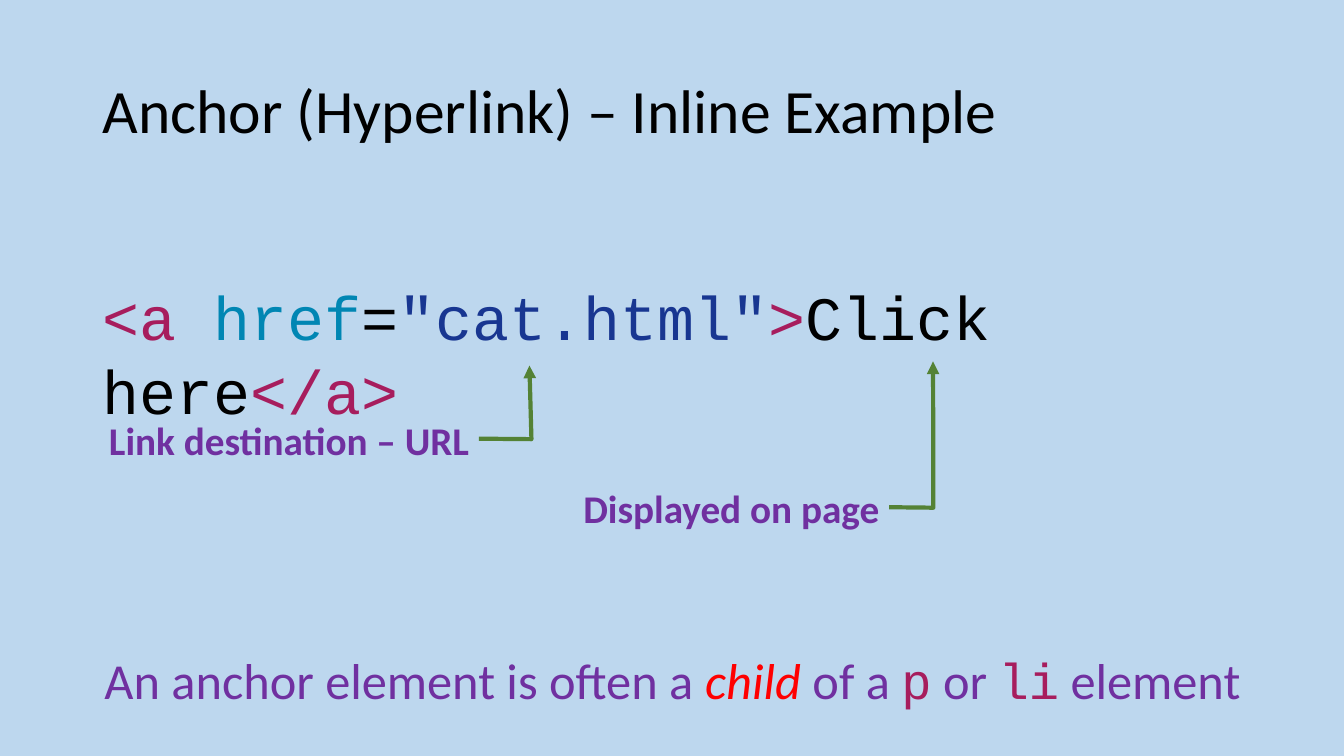
from lxml.etree import SubElement
from pptx import Presentation
from pptx.dml.color import RGBColor
from pptx.enum.shapes import MSO_SHAPE
from pptx.enum.text import MSO_ANCHOR, PP_ALIGN
from pptx.oxml.ns import qn
from pptx.util import Inches, Pt

SKY = RGBColor(0xBD, 0xD7, 0xEE)
BLACK = RGBColor(0x00, 0x00, 0x00)
PURPLE = RGBColor(0x70, 0x30, 0xA0)
RED = RGBColor(0xFF, 0x00, 0x00)
GREEN = RGBColor(0x54, 0x82, 0x35)
TAG = RGBColor(0xA7, 0x1D, 0x5D)
ATTRIBUTE = RGBColor(0x00, 0x86, 0xB3)
STRING = RGBColor(0x18, 0x36, 0x91)
BODY_FONT = "Calibri"
CODE_FONT = "Courier New"

presentation = Presentation()
presentation.slide_width = Inches(13.33)
presentation.slide_height = Inches(7.5)
slide = presentation.slides.add_slide(presentation.slide_layouts[6])
slide.background.fill.solid()
slide.background.fill.fore_color.rgb = SKY


def add_text(left, top, width, height, size, pieces, wrap=True):
    """Add a one-paragraph text box; each piece is (text, font, color)."""
    box = slide.shapes.add_textbox(Inches(left), Inches(top), Inches(width), Inches(height))
    box.text_frame.word_wrap = wrap
    paragraph = box.text_frame.paragraphs[0]
    for text, font_name, color in pieces:
        run = paragraph.add_run()
        run.text = text
        run.font.name = font_name
        run.font.size = Pt(size)
        run.font.color.rgb = color
    return box


# Title
title = add_text(0.92, 0.4, 11.5, 1.45, 44,
                 [("Anchor (Hyperlink) – Inline Example", BODY_FONT, BLACK)])
title.text_frame.vertical_anchor = MSO_ANCHOR.MIDDLE
title.text_frame.paragraphs[0].line_spacing = 0.9

# Code line with syntax colours
code_pieces = [
    ("<a ", TAG), ("href", ATTRIBUTE), ("=", BLACK), ('"cat.html"', STRING),
    (">", TAG), ("Click here", BLACK), ("</a>", TAG),
]
add_text(0.92, 2.72, 11.43, 0.84, 44,
         [(text, CODE_FONT, color) for text, color in code_pieces])

# Callouts: label, left, top, width, arrow tip (y, x) as shares of the box
callouts = [
    ("Link destination – URL", 0.74, 3.89, 4.01, (-0.28, -0.125)),
    ("Displayed on page", 5.45, 4.57, 3.37, (-1.047, -0.129)),
]
for label, left, top, width, tip in callouts:
    callout = slide.shapes.add_shape(MSO_SHAPE.LINE_CALLOUT_2_NO_BORDER, Inches(left),
                                     Inches(top), Inches(width), Inches(0.94))
    for index, value in enumerate((0.492, 0, 0.497, -0.13, *tip)):
        callout.adjustments[index] = value
    callout.shadow.inherit = False
    callout.fill.background()
    callout.line.color.rgb = GREEN
    callout.line.width = Pt(3)
    # Point the leader to the right and end it with an arrowhead
    properties = callout.element.spPr
    properties.find(qn("a:xfrm")).set("flipH", "1")
    SubElement(properties.find(qn("a:ln")), qn("a:tailEnd"), type="triangle")
    callout.text_frame.text = label
    callout.text_frame.vertical_anchor = MSO_ANCHOR.MIDDLE
    paragraph = callout.text_frame.paragraphs[0]
    paragraph.alignment = PP_ALIGN.RIGHT
    font = paragraph.runs[0].font
    font.name = BODY_FONT
    font.size = Pt(28)
    font.bold = True
    font.color.rgb = PURPLE

# Closing remark
remark = add_text(0.92, 6.39, 11.5, 0.71, 36, [
    ("An anchor element is often a ", BODY_FONT, PURPLE),
    ("child", BODY_FONT, RED),
    (" of a ", BODY_FONT, PURPLE),
    ("p", CODE_FONT, TAG),
    (" or ", BODY_FONT, PURPLE),
    ("li", CODE_FONT, TAG),
    (" element", BODY_FONT, PURPLE),
], wrap=False)
remark_paragraph = remark.text_frame.paragraphs[0]
remark_paragraph.alignment = PP_ALIGN.CENTER
remark_paragraph.runs[1].font.italic = True

presentation.save("out.pptx")
